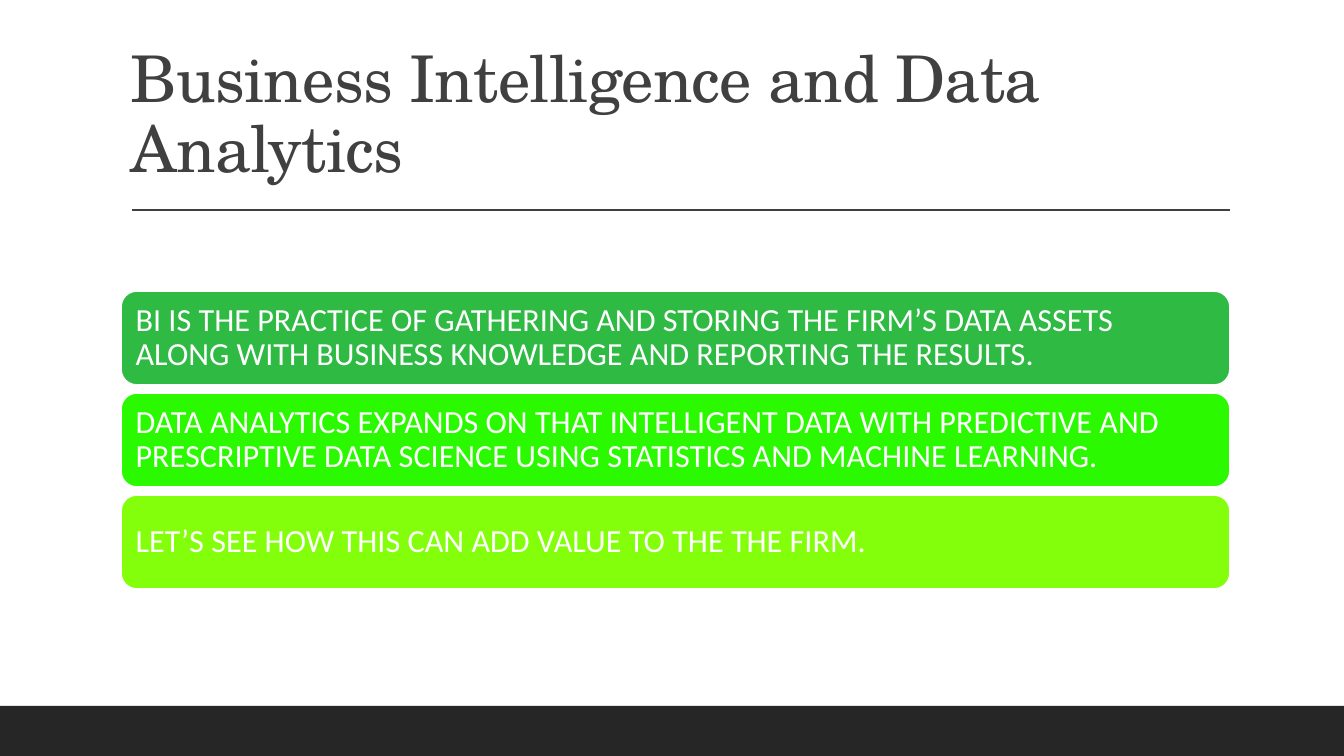
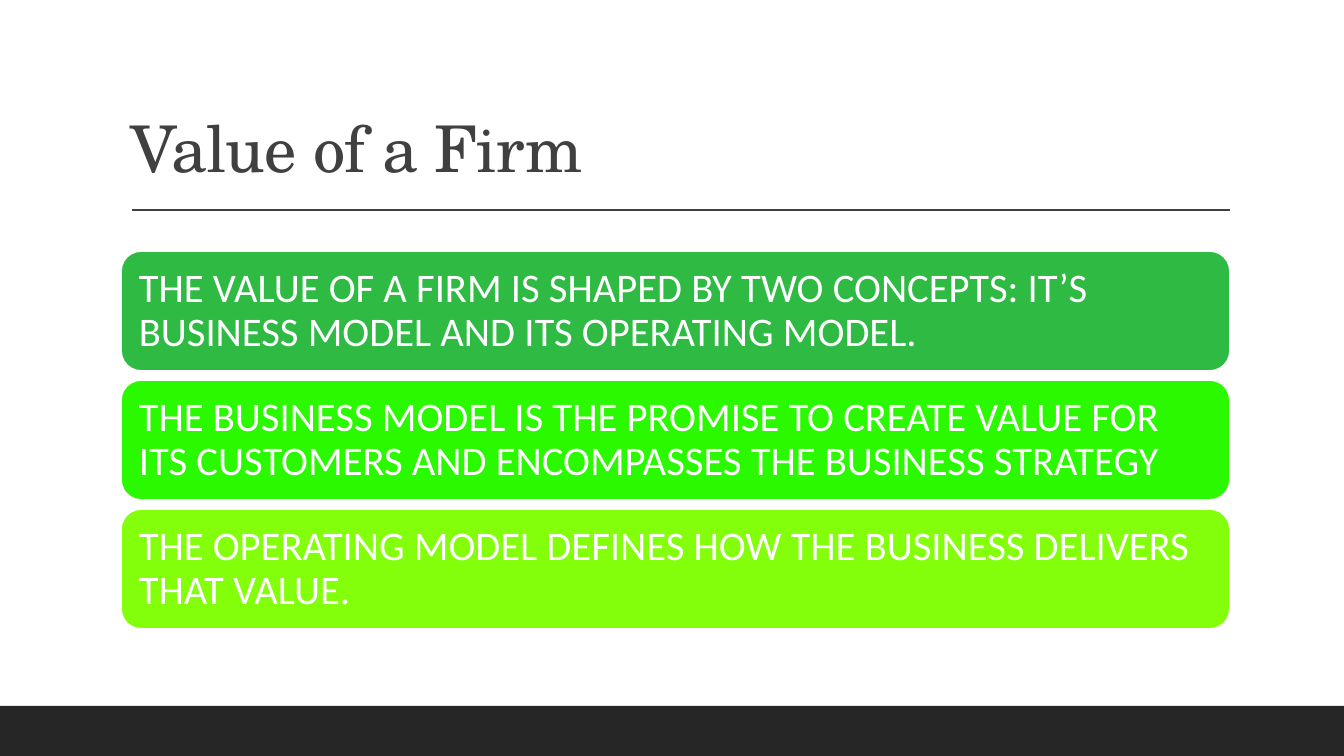
"""Build two slides on business intelligence and the value of a firm."""
import pptx
import pptx.dml.color
import pptx.enum.shapes
import pptx.enum.text
import pptx.util
from lxml import etree
from pptx.oxml.ns import qn

SLIDES = [
    {
        "title": "Business Intelligence and Data Analytics",
        "cards": [
            "BI IS THE PRACTICE OF GATHERING AND STORING THE FIRM’S DATA ASSETS ALONG WITH "
            "BUSINESS KNOWLEDGE AND REPORTING THE RESULTS.",
            "DATA ANALYTICS EXPANDS ON THAT INTELLIGENT DATA WITH PREDICTIVE AND PRESCRIPTIVE "
            "DATA SCIENCE USING STATISTICS AND MACHINE LEARNING.",
            "LET’S SEE HOW THIS CAN ADD VALUE TO THE THE FIRM.",
        ],
        "card_height": 94, "gap": 8, "inset": 10, "size": 23,
    },
    {
        "title": "Value of a Firm",
        "cards": [
            "THE VALUE OF A FIRM IS SHAPED BY TWO CONCEPTS: IT’S BUSINESS MODEL AND ITS "
            "OPERATING MODEL.",
            "THE BUSINESS MODEL IS THE PROMISE TO CREATE VALUE FOR ITS CUSTOMERS AND "
            "ENCOMPASSES THE BUSINESS STRATEGY",
            "THE OPERATING MODEL DEFINES HOW THE BUSINESS DELIVERS THAT VALUE.",
        ],
        "card_height": 120, "gap": 9, "inset": 12, "size": 29,
    },
]

WIDTH, HEIGHT = 1344, 756
LEFT, CONTENT_WIDTH = 121, 1109
STACK_CENTER = 440
BAND_HEIGHT = 50
RULE = (132, 210, 1230, 210)
WHITE, GREY, BAND = "FFFFFF", "404040", "262626"
CARD_COLORS = ["2EBA43", "2BF900", "83FF0B"]
TITLE_FORMAT = {"name": "TeX Gyre Schola", "size": pptx.util.Pt(46)}
CARD_FONT = "Calibri"
SHAPES = pptx.enum.shapes.MSO_SHAPE
ANCHORS = pptx.enum.text.MSO_ANCHOR


def px(value):
    return round(value * 914400 / 100.8)


def color(hex_value):
    return pptx.dml.color.RGBColor.from_string(hex_value)


def write_text(shape, text, font_format, font_color, anchor, inset=None):
    frame = shape.text_frame
    frame_format = {"word_wrap": True, "vertical_anchor": anchor}
    if inset is not None:
        for side in ("left", "top", "right", "bottom"):
            frame_format[f"margin_{side}"] = px(inset)
    for name, value in frame_format.items():
        setattr(frame, name, value)
    paragraph = frame.paragraphs[0]
    paragraph.alignment = pptx.enum.text.PP_ALIGN.LEFT
    paragraph.line_spacing = 0.9
    run = paragraph.add_run()
    run.text = text
    for name, value in font_format.items():
        setattr(run.font, name, value)
    run.font.color.rgb = color(font_color)
    return run


def add_block(slide, kind, box, fill):
    shape = slide.shapes.add_shape(kind, *map(px, box))
    shape.shadow.inherit = False
    shape.fill.solid()
    shape.fill.fore_color.rgb = color(fill)
    shape.line.fill.background()
    return shape


def add_frame(slide, title):
    title_box = slide.shapes.add_textbox(*map(px, (LEFT, 31, CONTENT_WIDTH, 160)))
    run = write_text(title_box, title, TITLE_FORMAT, GREY, ANCHORS.BOTTOM)
    run.font._element.set("spc", "-50")
    rule = slide.shapes.add_connector(
        pptx.enum.shapes.MSO_CONNECTOR.STRAIGHT, *map(px, RULE))
    rule.line.color.rgb = color(GREY)
    rule.line.width = pptx.util.Pt(1)
    etree.SubElement(rule._element.spPr, qn("a:effectLst"))
    add_block(slide, SHAPES.RECTANGLE, (0, HEIGHT - BAND_HEIGHT, WIDTH, BAND_HEIGHT), BAND)


def add_cards(slide, content):
    cards, height, gap = content["cards"], content["card_height"], content["gap"]
    top = STACK_CENTER - (len(cards) * (height + gap) - gap) / 2
    font_format = {"name": CARD_FONT, "size": pptx.util.Pt(content["size"])}
    for index, (text, fill) in enumerate(zip(cards, CARD_COLORS)):
        box = (LEFT, top + index * (height + gap), CONTENT_WIDTH, height)
        card = add_block(slide, SHAPES.ROUNDED_RECTANGLE, box, fill)
        card.line.color.rgb = color(WHITE)
        card.line.width = pptx.util.Pt(1.25)
        write_text(card, text, font_format, WHITE, ANCHORS.MIDDLE, content["inset"])


def main():
    presentation = pptx.Presentation()
    presentation.slide_width, presentation.slide_height = px(WIDTH), px(HEIGHT)
    for content in SLIDES:
        slide = presentation.slides.add_slide(presentation.slide_layouts[6])
        add_frame(slide, content["title"])
        add_cards(slide, content)
    presentation.save("out.pptx")


if __name__ == "__main__":
    main()
